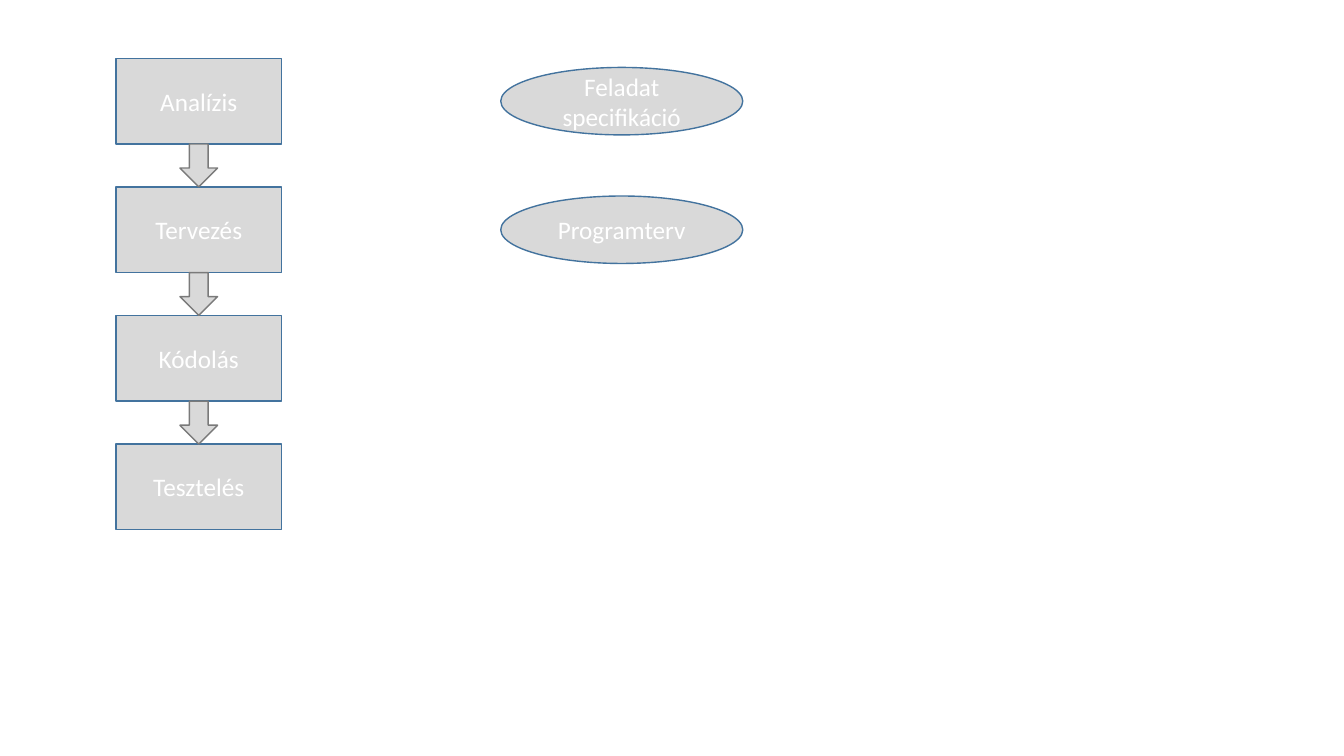
from pptx import Presentation
from pptx import util as u
from pptx.dml.color import RGBColor
from pptx.enum import shapes, text

GREY = RGBColor(0xD9, 0xD9, 0xD9)
BLUE = RGBColor(0x43, 0x73, 0x9E)
DARK_GREY = RGBColor(0x7A, 0x7A, 0x7A)
WHITE = RGBColor(0xFF, 0xFF, 0xFF)

PHASES = ["Analízis", "Tervezés", "Kódolás", "Tesztelés"]
PRODUCTS = ["Feladat specifikáció", "Programterv"]

# Rows shared by both columns, in cm
TOP, ROW_H, GAP = 1.47, 2.16, 1.08
PITCH = ROW_H + GAP


def add_node(s, kind, x, y, w, h, line, label=None):
    sp = s.shapes.add_shape(kind, u.Cm(x), u.Cm(y), u.Cm(w), u.Cm(h))
    sp.shadow.inherit = False
    sp.fill.solid()
    sp.fill.fore_color.rgb = GREY
    sp.line.color.rgb = line
    sp.line.width = u.Pt(1)
    if label:
        tf = sp.text_frame
        tf.word_wrap = True
        tf.vertical_anchor = text.MSO_ANCHOR.MIDDLE
        p = tf.paragraphs[0]
        p.alignment = text.PP_ALIGN.CENTER
        r = p.add_run()
        r.text = label
        r.font.name = "Calibri"
        r.font.size = u.Pt(18)
        r.font.color.rgb = WHITE


def add_phases(s, x, y, w):
    # Phase boxes
    for i, label in enumerate(PHASES):
        add_node(s, shapes.MSO_SHAPE.RECTANGLE, x, y + i * PITCH, w, ROW_H, BLUE, label)
    # Arrows filling the gaps between boxes
    arrow_w = 0.95
    for i in range(len(PHASES) - 1):
        add_node(s, shapes.MSO_SHAPE.DOWN_ARROW, x + (w - arrow_w) / 2,
                 y + i * PITCH + ROW_H, arrow_w, GAP, DARK_GREY)


def add_products(s, x, y, w):
    # Ellipses centred on the matching phase rows
    h = 1.7
    for i, label in enumerate(PRODUCTS):
        add_node(s, shapes.MSO_SHAPE.OVAL, x, y + i * PITCH + (ROW_H - h) / 2,
                 w, h, BLUE, label)


def main():
    prs = Presentation()
    prs.slide_width, prs.slide_height = u.Cm(33.87), u.Cm(19.05)
    s = prs.slides.add_slide(prs.slide_layouts[6])
    add_phases(s, 2.92, TOP, 4.18)
    add_products(s, 12.62, TOP, 6.1)
    prs.save("out.pptx")


if __name__ == "__main__":
    main()
